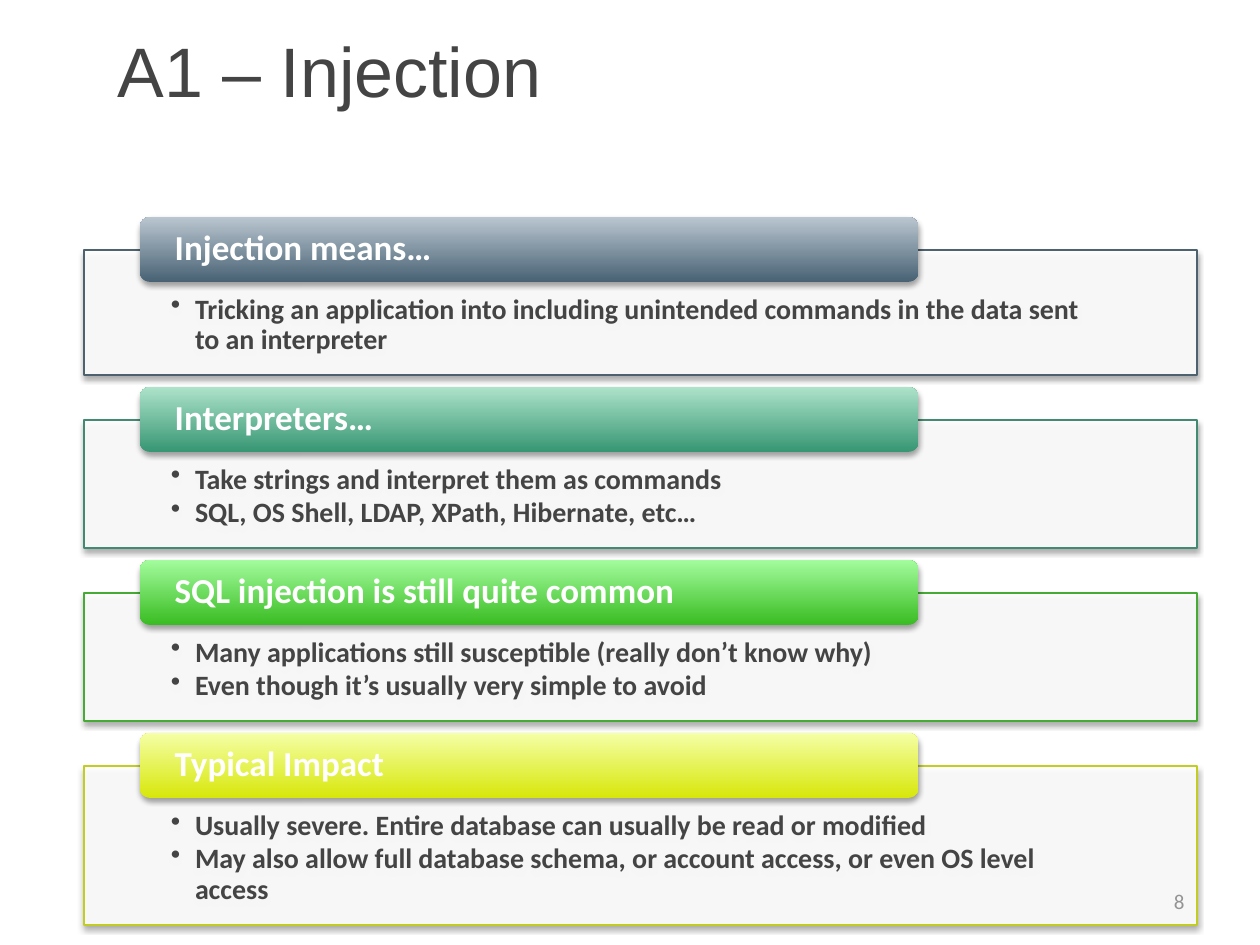
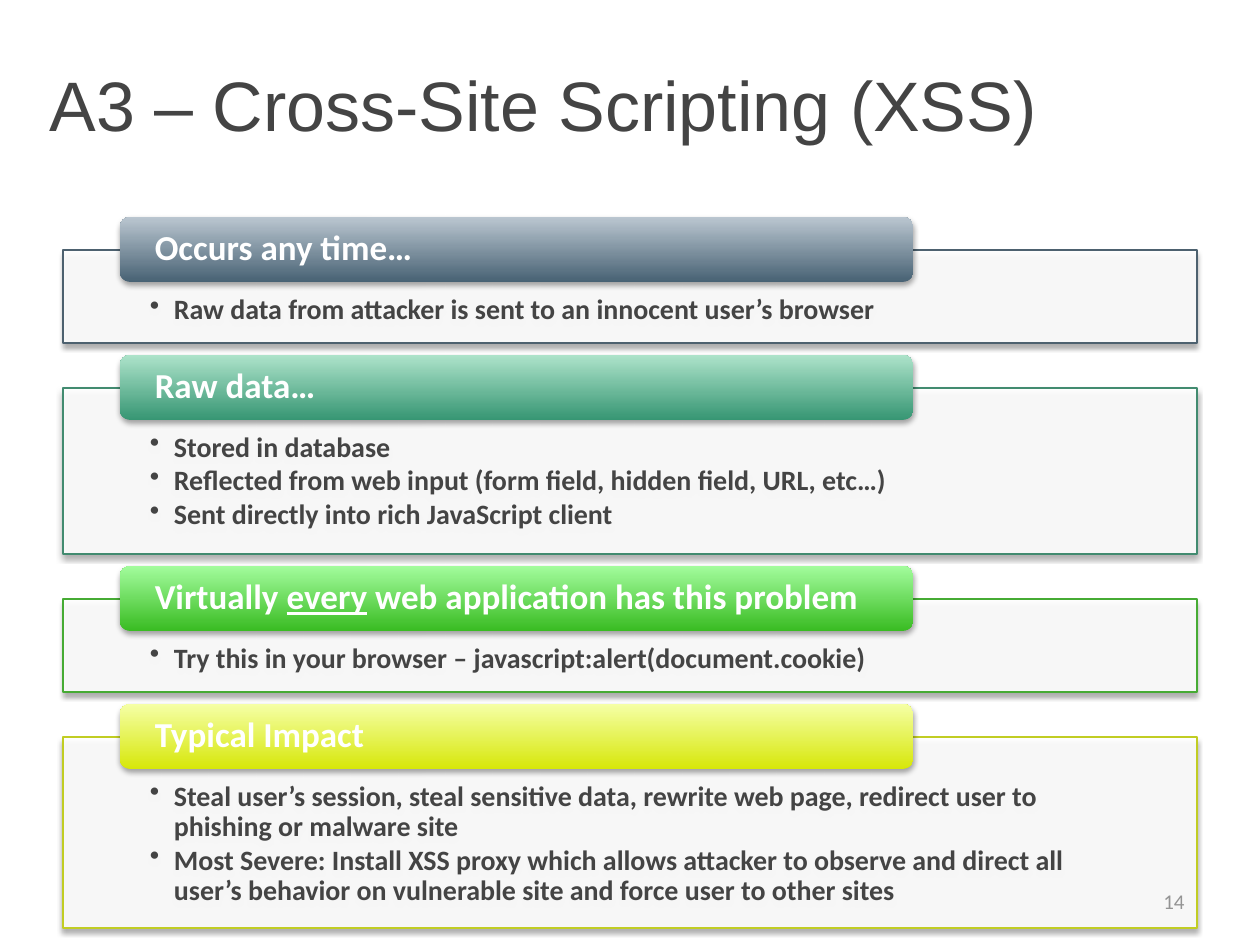
from lxml import etree
from pptx import Presentation
from pptx.dml.color import RGBColor
from pptx.enum.shapes import MSO_SHAPE
from pptx.enum.text import MSO_ANCHOR, MSO_AUTO_SIZE, PP_ALIGN
from pptx.oxml.ns import qn
from pptx.util import Pt

RECTANGLE, ROUNDED = MSO_SHAPE.RECTANGLE, MSO_SHAPE.ROUNDED_RECTANGLE
TOP, MIDDLE = MSO_ANCHOR.TOP, MSO_ANCHOR.MIDDLE
LEFT, RIGHT = PP_ALIGN.LEFT, PP_ALIGN.RIGHT
NO_AUTOFIT = MSO_AUTO_SIZE.NONE

EMU_PER_PX = 914400 / 126
TITLE_LAYOUT = 5
INK, WHITE, GREY = "444444", "FFFFFF", "949494"
# Panel outline, heading gradient bottom, heading gradient top
SECTION_COLOURS = [
    ("4D616F", "486274", "BAC6D0"),
    ("428B70", "379673", "ADE3CA"),
    ("46AB34", "39BC22", "A3FC9D"),
    ("C1CD23", "D7E70A", "F5FFA6"),
]
FIRST_PANEL_TOP, PANEL_GAP = 250, 45
HEADING_HEIGHT, HEADING_RISE = 65, 33
BULLET_INDENT = 24

# Each section: panel height, heading runs (every second one underlined), bullets
PAGES = [
    {
        "title": "A1 – Injection", "title_box": (105, 21, 1124, 98),
        "number": "8", "left": 84, "width": 1113,
        "sections": [
            (125, ["Injection means…"],
             ["Tricking an application into including unintended commands "
              "in the data sent to an interpreter"]),
            (128, ["Interpreters…"],
             ["Take strings and interpret them as commands",
              "SQL, OS Shell, LDAP, XPath, Hibernate, etc…"]),
            (128, ["SQL injection is still quite common"],
             ["Many applications still susceptible (really don’t know why)",
              "Even though it’s usually very simple to avoid"]),
            (159, ["Typical Impact"],
             ["Usually severe. Entire database can usually be read or modified",
              "May also allow full database schema, or account access, "
              "or even OS level access"]),
        ],
    },
    {
        "title": "A3 – Cross-Site Scripting (XSS)", "title_box": (37, 35, 1223, 136),
        "number": "14", "left": 63, "width": 1134,
        "sections": [
            (93, ["Occurs any time…"],
             ["Raw data from attacker is sent to an innocent user’s browser"]),
            (166, ["Raw data…"],
             ["Stored in database",
              "Reflected from web input (form field, hidden field, URL, etc…)",
              "Sent directly into rich JavaScript client"]),
            (93, ["Virtually ", "every", " web application has this problem"],
             ["Try this in your browser – javascript:alert(document.cookie)"]),
            (191, ["Typical Impact"],
             ["Steal user’s session, steal sensitive data, rewrite web page, "
              "redirect user to phishing or malware site",
              "Most Severe: Install XSS proxy which allows attacker to observe "
              "and direct all user’s behavior on vulnerable site and force user "
              "to other sites"]),
        ],
    },
]


def px(*lengths):
    """Turn px into EMU: a list for several lengths, a number for one."""
    emu = [round(length * EMU_PER_PX) for length in lengths]
    return emu if len(emu) > 1 else emu[0]


def add_card(slide, preset, box, insets, anchor):
    """Add a shape with a soft drop shadow and a wrapped text frame."""
    card = slide.shapes.add_shape(preset, *px(*box))
    card.shadow.inherit = False
    effects = card._element.spPr.find(qn("a:effectLst"))
    shadow = etree.SubElement(effects, qn("a:outerShdw"), blurRad=str(Pt(3.1)),
                              dist=str(Pt(1.8)), dir="5400000", rotWithShape="0")
    black = etree.SubElement(shadow, qn("a:srgbClr"), val="000000")
    etree.SubElement(black, qn("a:alpha"), val="35000")
    frame = card.text_frame
    frame.word_wrap = True
    frame.vertical_anchor = anchor
    (frame.margin_left, frame.margin_top,
     frame.margin_right, frame.margin_bottom) = px(*insets)
    return card


rgb = RGBColor.from_string
prs = Presentation()
prs.slide_width, prs.slide_height = px(1260, 945)

for page in PAGES:
    slide = prs.slides.add_slide(prs.slide_layouts[TITLE_LAYOUT])
    title = slide.shapes.title
    title.left, title.top, title.width, title.height = px(*page["title_box"])
    title.text_frame.text = page["title"]
    title.text_frame.auto_size = NO_AUTOFIT
    title.text_frame.vertical_anchor = MIDDLE
    heading_line = title.text_frame.paragraphs[0]
    heading_line.alignment = LEFT
    heading_line.font.name, heading_line.font.size = "Arial", Pt(40)
    heading_line.font.color.rgb = rgb(INK)

    left, width, top = page["left"], page["width"], FIRST_PANEL_TOP
    for (height, heading_runs, bullets), colours in zip(page["sections"], SECTION_COLOURS):
        outline, dark, light = colours

        panel = add_card(slide, RECTANGLE, (left, top, width, height),
                         (87, 45, 87, 15), TOP)
        panel.fill.solid()
        panel.fill.fore_color.rgb = rgb(WHITE)
        panel_white = panel._element.spPr.find(qn("a:solidFill"))[0]
        etree.SubElement(panel_white, qn("a:alpha"), val="90000")
        panel.line.color.rgb = rgb(outline)
        panel.line.width = Pt(0.75)
        panel.text_frame.text = "\n".join(bullets)
        for bullet in panel.text_frame.paragraphs:
            bullet.alignment = LEFT
            bullet.line_spacing = 0.9
            bullet.space_after = Pt(2)
            properties = bullet._p.get_or_add_pPr()
            properties.set("marL", str(px(BULLET_INDENT)))
            properties.set("indent", str(-px(BULLET_INDENT)))
            etree.SubElement(properties, qn("a:buChar"), char="•")
            bullet.font.name, bullet.font.size = "Calibri", Pt(16)
            bullet.font.bold = True
            bullet.font.color.rgb = rgb(INK)

        heading_box = (left + width * 0.05, top - HEADING_RISE, width * 0.7, HEADING_HEIGHT)
        heading = add_card(slide, ROUNDED, heading_box, (32, 0, 32, 0), MIDDLE)
        heading.fill.gradient()
        heading.fill.gradient_angle = 90
        for stop, colour in zip(heading.fill.gradient_stops, (dark, light)):
            stop.color.rgb = rgb(colour)
        heading.line.fill.background()
        label = heading.text_frame.paragraphs[0]
        label.alignment = LEFT
        label.line_spacing = 0.9
        label.font.name, label.font.size = "Calibri", Pt(20)
        label.font.bold = True
        label.font.color.rgb = rgb(WHITE)
        for position, words in enumerate(heading_runs):
            run = label.add_run()
            run.text = words
            if position % 2:
                run.font.underline = True

        top += height + PANEL_GAP

    number = slide.shapes.add_textbox(*px(903, 876, 294, 50)).text_frame
    number.word_wrap = True
    number.vertical_anchor = MIDDLE
    number.text = page["number"]
    digits = number.paragraphs[0]
    digits.alignment = RIGHT
    digits.font.name, digits.font.size = "Calibri", Pt(12)
    digits.font.color.rgb = rgb(GREY)

prs.save("out.pptx")
